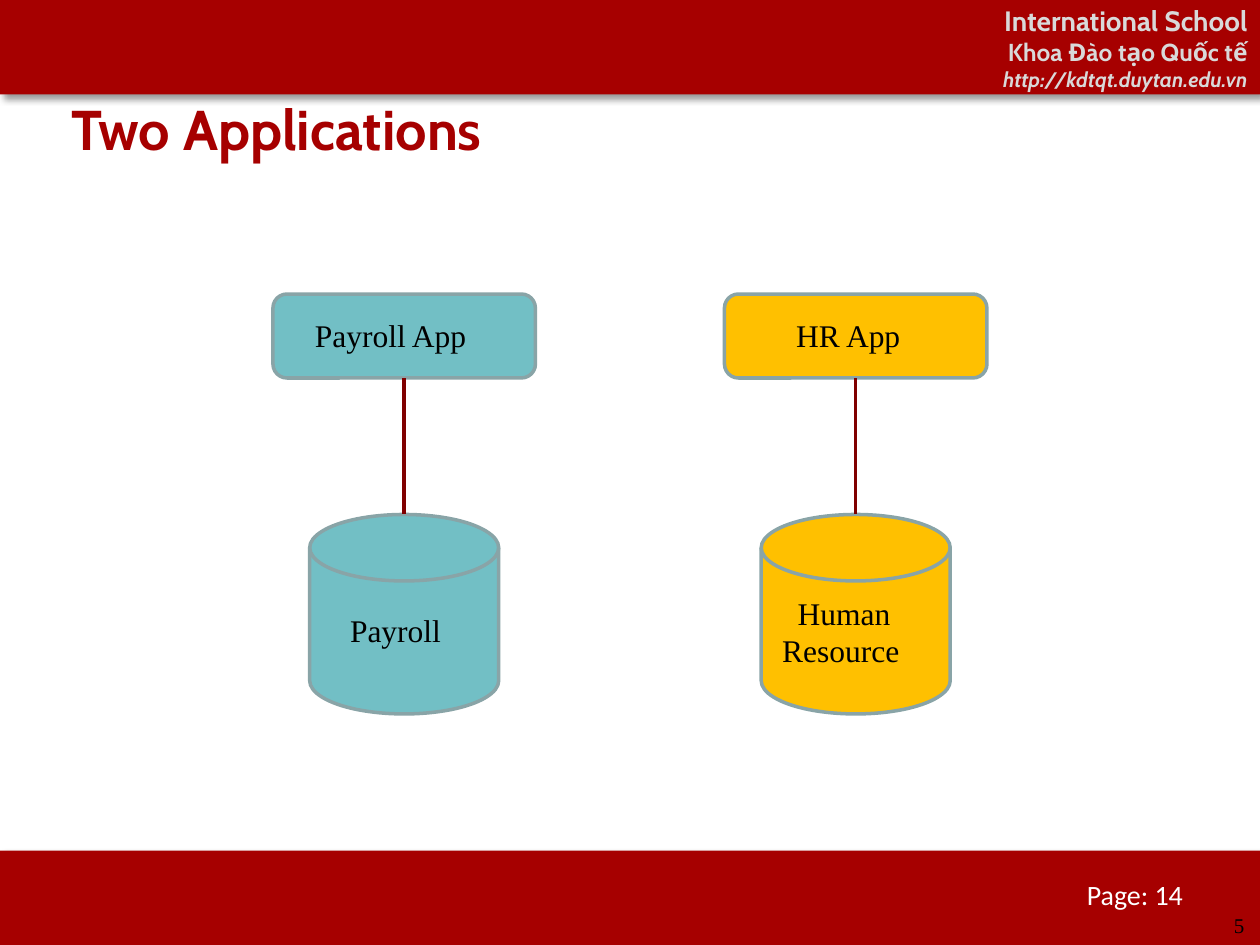
from lxml import etree
from pptx import Presentation
from pptx import util as u
from pptx.dml.color import RGBColor
from pptx.enum import shapes, text
from pptx.oxml.ns import qn

COLORS = {"red": "A60000", "white": "FFFFFF", "grey": "D9D9D9", "black": "000000",
          "teal": "72BFC5", "gold": "FFC000", "outline": "89A4A7", "link": "800000"}
SERIF = "Times New Roman"

SCHOOL = [("International School", 16, False),
          ("Khoa Đào tạo Quốc tế", 14, False),
          ("http://kdtqt.duytan.edu.vn", 12, True)]
TITLE = "Two Applications"
PAGE = "Page: 14"
NUMBER = "5"
APPLICATIONS = [
    {"center": 231, "fill": "teal",
     "app": ("Payroll App", 180), "store": (["Payroll"], 200, 350)},
    {"center": 489, "fill": "gold",
     "app": ("HR App", 455), "store": (["Human", "Resource"], 447, 340)},
]
SLIDE_W, SLIDE_H, BAR_H = 720, 540, 54
APP_TOP, APP_W, APP_H = 168, 150, 48
STORE_TOP, STORE_W, STORE_H = 294, 108, 114
FIRST_LINE_INDENT = 8.8

prs = Presentation()
prs.slide_width, prs.slide_height = u.Pt(SLIDE_W), u.Pt(SLIDE_H)
slide = prs.slides.add_slide(prs.slide_layouts[6])


def rgb(name):
    return RGBColor.from_string(COLORS[name])


def points(*lengths):
    return [u.Pt(length) for length in lengths]


def add_run(paragraph, words, size, face, color, bold=False, italic=False):
    run = paragraph.add_run()
    run.text = words
    font = run.font
    font.size, font.name, font.bold, font.italic = u.Pt(size), face, bold, italic
    font.color.rgb = rgb(color)


def add_solid(kind, left, top, width, height, fill):
    solid = slide.shapes.add_shape(kind, *points(left, top, width, height))
    solid.shadow.inherit = False
    solid.fill.solid()
    solid.fill.fore_color.rgb = rgb(fill)
    solid.line.fill.background()
    return solid


def add_outlined(kind, left, top, width, height, fill):
    outlined = add_solid(kind, left, top, width, height, fill)
    outlined.line.color.rgb = rgb("outline")
    outlined.line.width = u.Pt(2)
    return outlined


def add_bar(top):
    bar = add_solid(shapes.MSO_SHAPE.RECTANGLE, 0, top, SLIDE_W, BAR_H, "red")
    effects = bar._element.spPr.find(qn("a:effectLst"))
    shadow = etree.SubElement(effects, qn("a:outerShdw"), blurRad=str(u.Pt(4)),
                              dist=str(u.Pt(3)), dir="2700000", algn="tl", rotWithShape="0")
    shade = etree.SubElement(shadow, qn("a:srgbClr"), val=COLORS["black"])
    etree.SubElement(shade, qn("a:alpha"), val="40000")
    return bar


def add_label(lines, left, top, width, size=18, spacing=21):
    box = slide.shapes.add_textbox(*points(left, top, width, spacing * len(lines)))
    frame = box.text_frame
    frame.word_wrap = False
    frame.margin_left = frame.margin_right = frame.margin_top = 0
    frame.margin_bottom = u.Pt(3.6)
    for index, line in enumerate(lines):
        paragraph = frame.paragraphs[0] if index == 0 else frame.add_paragraph()
        paragraph.line_spacing = u.Pt(spacing)
        if index < len(lines) - 1:
            paragraph._p.get_or_add_pPr().set("indent", str(u.Pt(FIRST_LINE_INDENT)))
        add_run(paragraph, line, size, SERIF, "black")


add_bar(SLIDE_H - BAR_H)
header = add_bar(0).text_frame
header.word_wrap = True
header.vertical_anchor = text.MSO_ANCHOR.MIDDLE
for index, (line, size, italic) in enumerate(SCHOOL):
    paragraph = header.paragraphs[0] if index == 0 else header.add_paragraph()
    paragraph.alignment = text.PP_ALIGN.RIGHT
    add_run(paragraph, line, size, "Cabin", "grey", True, italic)

page = slide.shapes.add_textbox(*points(614, 498, 94, 27)).text_frame
page.word_wrap = True
add_run(page.paragraphs[0], PAGE, 16, "Calibri", "white")

for application in APPLICATIONS:
    center, fill = application["center"], application["fill"]
    add_outlined(shapes.MSO_SHAPE.FLOWCHART_MAGNETIC_DISK, center - STORE_W / 2, STORE_TOP,
                 STORE_W, STORE_H, fill)
    app = add_outlined(shapes.MSO_SHAPE.ROUNDED_RECTANGLE, center - APP_W / 2, APP_TOP,
                       APP_W, APP_H, fill)
    link = slide.shapes.add_connector(shapes.MSO_CONNECTOR.STRAIGHT, *points(
        center, APP_TOP + APP_H, center, STORE_TOP))
    link.begin_connect(app, 2)
    link.line.color.rgb = rgb("link")
    link.line.width = u.Pt(2)
    etree.SubElement(link._element.spPr, qn("a:effectLst"))

add_label([NUMBER], 705, 522, 7, 12, 14)
for application in APPLICATIONS:
    app_name, app_left = application["app"]
    store_lines, store_left, store_top = application["store"]
    add_label(store_lines, store_left, store_top, 82)
    add_label([app_name], app_left, 181, 100)

title = slide.shapes.add_textbox(*points(34, 51, 648, 44)).text_frame
title.word_wrap = True
title.vertical_anchor = text.MSO_ANCHOR.MIDDLE
add_run(title.paragraphs[0], TITLE, 32, "Cabin", "red", True)

prs.save("out.pptx")
